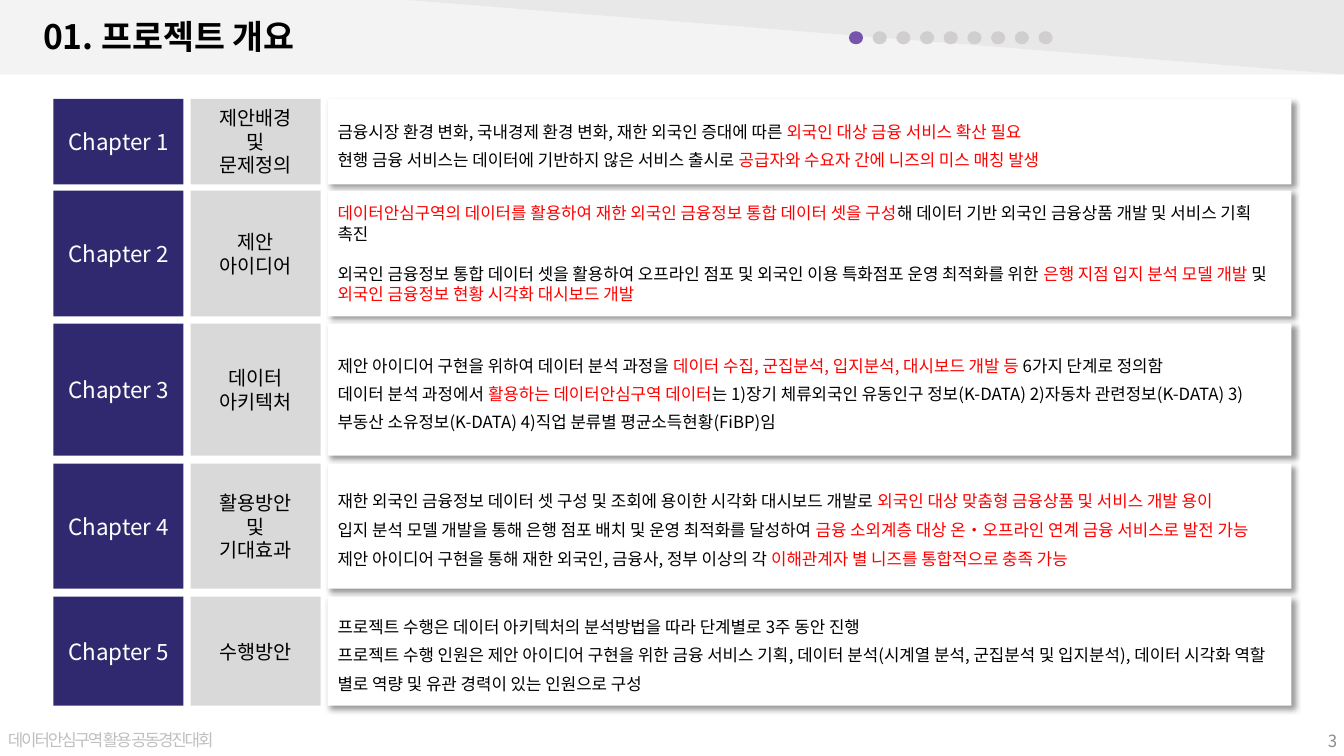
from dataclasses import dataclass

from lxml.etree import SubElement
from pptx import Presentation
from pptx.dml.color import RGBColor
from pptx.enum.shapes import MSO_SHAPE
from pptx.enum.text import MSO_ANCHOR, PP_ALIGN
from pptx.oxml.ns import qn
from pptx.util import Inches, Pt


@dataclass(frozen=True)
class Theme:
    font: str = "Noto Sans CJK KR"
    black: str = "000000"
    white: str = "FFFFFF"
    highlight: str = "FF0000"
    navy: str = "31296F"
    violet: str = "7455AB"
    label_gray: str = "D9D9D9"
    dot_gray: str = "D0CECE"
    band_gray: str = "808080"
    footer_gray: str = "BFBFBF"
    number_gray: str = "8C8C8C"
    title_size: int = 24
    chapter_size: int = 16
    label_size: int = 14
    body_size: int = 12


THEME = Theme()


def write_text(frame, paragraphs, size, color=THEME.black, bold=False,
               align=PP_ALIGN.LEFT, anchor=MSO_ANCHOR.MIDDLE,
               line_spacing=None, gaps=None, tracking=None):
    """Text between a pair of | marks is highlighted; gaps maps a paragraph
    index to its space before, in points, and such a paragraph is single spaced."""
    frame.word_wrap = True
    frame.vertical_anchor = anchor
    gaps = gaps or {}
    for index, content in enumerate(paragraphs):
        paragraph = frame.paragraphs[0] if index == 0 else frame.add_paragraph()
        paragraph.alignment = align
        if index in gaps:
            paragraph.space_before = Pt(gaps[index])
        elif line_spacing:
            paragraph.line_spacing = line_spacing
        for part, words in enumerate(content.split("|")):
            if not words:
                continue
            run = paragraph.add_run()
            run.text = words
            run.font.size = Pt(size)
            run.font.bold = bold
            run.font.name = THEME.font
            run.font.color.rgb = RGBColor.from_string(
                THEME.highlight if part % 2 else color)
            properties = run.font._element
            SubElement(properties, qn("a:ea")).set("typeface", THEME.font)
            if tracking:
                properties.set("spc", str(int(tracking * 100)))


class SlideBuilder:
    def __init__(self, slide, theme):
        self.slide = slide
        self.theme = theme

    def block(self, left, top, width, height, fill, kind=MSO_SHAPE.RECTANGLE,
              opacity=None, shadow=False):
        shape = self.slide.shapes.add_shape(
            kind, Inches(left), Inches(top), Inches(width), Inches(height))
        shape.shadow.inherit = False
        shape.fill.solid()
        shape.fill.fore_color.rgb = RGBColor.from_string(fill)
        shape.line.fill.background()
        properties = shape._element.spPr
        if opacity:
            color = properties.find(qn("a:solidFill"))[0]
            SubElement(color, qn("a:alpha")).set("val", str(opacity * 1000))
        if shadow:
            outer = SubElement(properties.find(qn("a:effectLst")), qn("a:outerShdw"),
                               blurRad=str(Pt(4)), dist=str(Pt(3)),
                               dir=str(45 * 60000), algn="tl", rotWithShape="0")
            color = SubElement(outer, qn("a:srgbClr"), val=self.theme.black)
            SubElement(color, qn("a:alpha"), val="40000")
        return shape

    def caption(self, left, top, width, height, words, **style):
        box = self.slide.shapes.add_textbox(
            Inches(left), Inches(top), Inches(width), Inches(height))
        write_text(box.text_frame, [words], **style)

    def header(self, title, pages, current):
        theme = self.theme
        self.block(0, 0, 13.36, 0.74, theme.band_gray, opacity=9)
        wedge = self.block(4.04, 0, 9.31, 0.74, theme.band_gray,
                           kind=MSO_SHAPE.RIGHT_TRIANGLE, opacity=9)
        wedge.rotation = 180
        self.caption(0.33, 0.11, 5.5, 0.5, title, size=theme.title_size,
                     bold=True, anchor=MSO_ANCHOR.BOTTOM)
        for page in range(pages):
            self.block(8.42 + 1.88 * page / (pages - 1), 0.31, 0.14, 0.13,
                       theme.violet if page == current else theme.dot_gray,
                       kind=MSO_SHAPE.OVAL)

    def footer(self, event, number):
        theme = self.theme
        self.caption(-0.02, 7.19, 2.58, 0.3, event, size=theme.body_size,
                     color=theme.footer_gray, anchor=MSO_ANCHOR.TOP, tracking=-1.5)
        self.caption(12.92, 7.15, 0.44, 0.4, number, size=theme.body_size,
                     color=theme.number_gray, align=PP_ALIGN.RIGHT)

    def chapter(self, number, top, height, label, summary, **spacing):
        theme = self.theme
        name_block = self.block(0.53, top, 1.29, height, theme.navy)
        write_text(name_block.text_frame, [f"Chapter {number}"], theme.chapter_size,
                   color=theme.white, align=PP_ALIGN.CENTER)
        label_block = self.block(1.89, top, 1.29, height, theme.label_gray)
        write_text(label_block.text_frame, label, theme.label_size,
                   align=PP_ALIGN.CENTER)
        summary_block = self.block(3.25, top, 9.56, height, theme.white, shadow=True)
        write_text(summary_block.text_frame, summary, theme.body_size, **spacing)


# Each chapter: top, height, label, summary, spacing
CHAPTERS = [
    (0.98, 0.85, ["제안배경", "및", "문제정의"], [
        "금융시장 환경 변화, 국내경제 환경 변화, 재한 외국인 증대에 따른 "
        "|외국인 대상 금융 서비스 확산 필요|",
        "현행 금융 서비스는 데이터에 기반하지 않은 서비스 출시로 "
        "|공급자와 수요자 간에 니즈의 미스 매칭 발생|",
    ], {"line_spacing": 1.4}),
    (1.89, 1.25, ["제안 아이디어"], [
        "|데이터안심구역의 데이터를 활용하여 재한 외국인 금융정보 통합 데이터 셋을 구성|"
        "해 데이터 기반 외국인 금융상품 개발 및 서비스 기획 촉진",
        "외국인 금융정보 통합 데이터 셋을 활용하여 오프라인 점포 및 외국인 이용 "
        "특화점포 운영 최적화를 위한 |은행 지점 입지 분석 모델 개발 |및 "
        "|외국인 금융정보 현황 시각화 대시보드 개발|",
    ], {"gaps": {1: 14.5}}),
    (3.21, 1.31, ["데이터 아키텍처"], [
        "제안 아이디어 구현을 위하여 데이터 분석 과정을 "
        "|데이터 수집, 군집분석, 입지분석, 대시보드 개발 등 |6가지 단계로 정의함",
        "데이터 분석 과정에서 |활용하는 데이터안심구역 데이터|는 "
        "1)장기 체류외국인 유동인구 정보(K-DATA) 2)자동차 관련정보(K-DATA) "
        "3)부동산 소유정보(K-DATA) 4)직업 분류별 평균소득현황(FiBP)임",
    ], {"line_spacing": 1.4}),
    (4.6, 1.24, ["활용방안", "및", "기대효과"], [
        "재한 외국인 금융정보 데이터 셋 구성 및 조회에 용이한 시각화 대시보드 개발로 "
        "|외국인 대상 맞춤형 금융상품 및 서비스 개발 용이|",
        "입지 분석 모델 개발을 통해 은행 점포 배치 및 운영 최적화를 달성하여 "
        "|금융 소외계층 대상 온•오프라인 연계 금융 서비스로 발전 가능|",
        "제안 아이디어 구현을 통해 재한 외국인, 금융사, 정부 이상의 각 "
        "|이해관계자 별 니즈를 통합적으로 충족 가능|",
    ], {"line_spacing": 1.4, "gaps": {2: 6.8}}),
    (5.92, 1.08, ["수행방안"], [
        "프로젝트 수행은 데이터 아키텍처의 분석방법을 따라 단계별로 3주 동안 진행",
        "프로젝트 수행 인원은 제안 아이디어 구현을 위한 금융 서비스 기획, "
        "데이터 분석(시계열 분석, 군집분석 및 입지분석), 데이터 시각화 "
        "역할 별로 역량 및 유관 경력이 있는 인원으로 구성",
    ], {"line_spacing": 1.4}),
]


def main():
    deck = Presentation()
    deck.slide_width = Inches(13.33)
    deck.slide_height = Inches(7.5)
    overview = SlideBuilder(deck.slides.add_slide(deck.slide_layouts[6]), THEME)

    # Header band, title and progress dots
    overview.header("01. 프로젝트 개요", pages=9, current=0)

    # Chapter rows
    for number, (top, height, label, summary, spacing) in enumerate(CHAPTERS, 1):
        overview.chapter(number, top, height, label, summary, **spacing)

    # Footer
    overview.footer("데이터안심구역 활용 공동경진대회", "3")
    deck.save("out.pptx")


if __name__ == "__main__":
    main()
